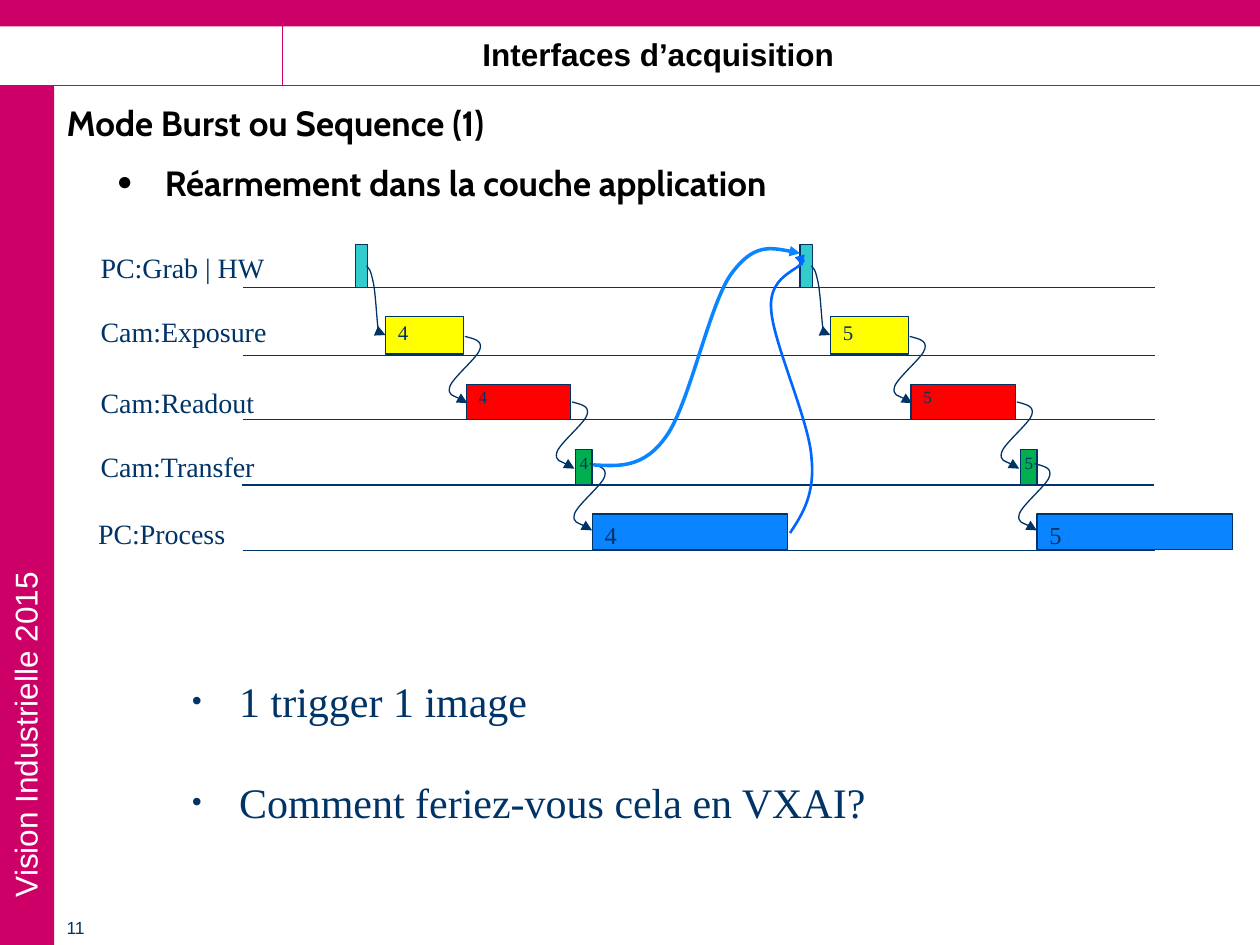
from lxml import etree
from pptx import Presentation
from pptx.dml.color import RGBColor
from pptx.enum.shapes import MSO_CONNECTOR, MSO_SHAPE
from pptx.enum.text import MSO_ANCHOR, PP_ALIGN
from pptx.oxml.ns import qn
from pptx.util import Inches, Pt

RECTANGLE = MSO_SHAPE.RECTANGLE
STRAIGHT = MSO_CONNECTOR.STRAIGHT
TOP, MIDDLE = MSO_ANCHOR.TOP, MSO_ANCHOR.MIDDLE
LEFT, CENTER = PP_ALIGN.LEFT, PP_ALIGN.CENTER

MAGENTA = RGBColor(0xCC, 0x00, 0x66)
NAVY = RGBColor(0x00, 0x33, 0x66)
BLACK = RGBColor(0x00, 0x00, 0x00)
WHITE = RGBColor(0xFF, 0xFF, 0xFF)
TURQUOISE = RGBColor(0x33, 0xCC, 0xCC)
YELLOW = RGBColor(0xFF, 0xFF, 0x00)
RED = RGBColor(0xFF, 0x00, 0x00)
GREEN = RGBColor(0x00, 0xB0, 0x50)
BLUE = RGBColor(0x0A, 0x85, 0xFF)
ROYAL_BLUE = RGBColor(0x00, 0x66, 0xFF)
SERIF, SANS, HEADING = "Times New Roman", "Arial", "Cabin"

# Label, label left, label top, label width, line left, line y
ROWS = [
    ("PC:Grab | HW", 0.7, 1.94, 1.5, 1.93, 2.28),
    ("Cam:Exposure", 0.7, 2.45, 1.52, 1.93, 2.82),
    ("Cam:Readout", 0.7, 3.01, 1.42, 1.93, 3.33),
    ("Cam:Transfer", 0.7, 3.52, 1.43, 1.92, 3.85),
    ("PC:Process", 0.68, 4.05, 1.21, 1.93, 4.37),
]
ROW_LENGTH = 7.24

# Left, top, width, height, fill, text size, line spacing
STAGES = [
    (2.82, 1.94, 0.1, 0.34, TURQUOISE, None, None),
    (3.06, 2.51, 0.62, 0.3, YELLOW, 11.9, 0.9),
    (3.7, 3.05, 0.83, 0.28, RED, 9.8, 0.8),
    (4.57, 3.57, 0.13, 0.28, GREEN, 9.8, 0.8),
    (4.7, 4.08, 1.55, 0.28, BLUE, 14, None),
]
# Image number and horizontal shift of each acquisition cycle
CYCLES = [("4", 0), ("5", 3.53)]

# Bezier curves: a start point, then two controls and an end for every segment
GRAB_CURVE = [(2.91, 2.11), (2.93, 2.13), (2.94, 2.14), (2.96, 2.23),
              (2.98, 2.31), (2.99, 2.53), (3, 2.6),
              (3.02, 2.68), (3.05, 2.66), (3.06, 2.67),
              (3.07, 2.68), (3.07, 2.67), (3.06, 2.66)]
STEP_CURVE = [(0, 0), (0.07, 0.02), (0.14, 0.03), (0.12, 0.1),
              (0.11, 0.16), (-0.1, 0.33), (-0.12, 0.4),
              (-0.14, 0.47), (-0.01, 0.5), (0.02, 0.53)]
STEP_STARTS = [(3.69, 2.67), (4.54, 3.19), (4.68, 3.68)]
PROCESS_TO_GRAB = [(6.27, 4.23), (6.37, 4.08), (6.47, 3.92), (6.44, 3.63),
                   (6.42, 3.33), (6.13, 2.71), (6.12, 2.45),
                   (6.1, 2.2), (6.32, 2.15), (6.36, 2.09),
                   (6.4, 2.04), (6.39, 2.07), (6.37, 2.11)]
TRANSFER_TO_GRAB = [(4.71, 3.69), (4.91, 3.7), (5.11, 3.72), (5.29, 3.46),
                    (5.47, 3.21), (5.63, 2.42), (5.8, 2.18),
                    (5.98, 1.93), (6.16, 1.97), (6.35, 2.01)]
QUESTIONS = ["1 trigger 1 image", "Comment feriez-vous cela en VXAI?"]


def add_bullet(paragraph, character, color):
    properties = paragraph._p.get_or_add_pPr()
    properties.set("marL", str(Inches(0.38)))
    properties.set("indent", str(-Inches(0.38)))
    bullet_color = etree.SubElement(properties, qn("a:buClr"))
    etree.SubElement(bullet_color, qn("a:srgbClr"), val=str(color))
    etree.SubElement(properties, qn("a:buSzPct"), val="75000")
    etree.SubElement(properties, qn("a:buFont"), typeface=SERIF)
    etree.SubElement(properties, qn("a:buChar"), char=character)


def write_text(shape, *texts, size, font=SERIF, color=NAVY, bold=False, align=LEFT,
               anchor=TOP, wrap=True, spacing=None, gap=0, bullet=None):
    """Fill a shape with one paragraph per text; gap is the space between them."""
    frame = shape.text_frame
    frame.word_wrap = wrap
    frame.vertical_anchor = anchor
    for index, text in enumerate(texts):
        paragraph = frame.add_paragraph() if index else frame.paragraphs[0]
        paragraph.alignment = align
        if spacing:
            paragraph.line_spacing = spacing
        if index:
            paragraph.space_before = Pt(gap)
        if bullet:
            add_bullet(paragraph, bullet, color)
        run = paragraph.add_run()
        run.text = text
        run.font.size = Pt(size)
        run.font.name = font
        run.font.bold = bold
        run.font.color.rgb = color


def add_text(slide, box, *texts, **text_format):
    shape = slide.shapes.add_textbox(*map(Inches, box))
    write_text(shape, *texts, **text_format)
    return shape


def add_box(slide, box, fill, outline=None):
    shape = slide.shapes.add_shape(RECTANGLE, *map(Inches, box))
    shape.shadow.inherit = False
    shape.fill.solid()
    shape.fill.fore_color.rgb = fill
    if outline is None:
        shape.line.fill.background()
    else:
        shape.line.color.rgb = outline
        shape.line.width = Pt(0.75)
    return shape


def add_line(slide, x1, y1, x2, y2, color):
    connector = slide.shapes.add_connector(STRAIGHT, *map(Inches, (x1, y1, x2, y2)))
    connector.line.color.rgb = color
    connector.line.width = Pt(0.75)
    etree.SubElement(connector._element.spPr, qn("a:effectLst"))


def add_curved_arrow(slide, curve, color=NAVY, width=0.75, dx=0, dy=0):
    """Join the segment ends by a freeform, then bend each segment with its controls."""
    points = [(Inches(x + dx), Inches(y + dy)) for x, y in curve]
    builder = slide.shapes.build_freeform(*points[0])
    builder.add_line_segments(points[3::3], close=False)
    shape = builder.convert_to_shape()
    for index, segment in enumerate(list(shape._element.iter(qn("a:lnTo")))):
        bend = etree.Element(qn("a:cubicBezTo"))
        for x, y in points[3 * index + 1:3 * index + 4]:
            etree.SubElement(bend, qn("a:pt"), x=str(x - shape.left), y=str(y - shape.top))
        segment.getparent().replace(segment, bend)
    shape.shadow.inherit = False
    shape.fill.background()
    shape.line.color.rgb = color
    shape.line.width = Pt(width)
    etree.SubElement(shape.line._get_or_add_ln(), qn("a:tailEnd"), type="triangle")


def add_page_frame(slide):
    add_box(slide, (0, 0.68, 0.43, 6.82), MAGENTA)
    add_box(slide, (0, 0, 10, 0.21), MAGENTA)
    add_line(slide, 0, 0.68, 10, 0.68, MAGENTA)
    add_line(slide, 2.24, 0.68, 2.24, 0, MAGENTA)
    side_title = add_text(slide, (-1.85, 4.97, 4.1, 0.4), "Vision Industrielle 2015",
                          size=18, font=SANS, color=WHITE)
    side_title.rotation = 270
    add_text(slide, (0.43, 7.23, 0.47, 0.27), "11", size=10, font=SANS)
    add_text(slide, (2.31, 0.23, 5.83, 0.4), "Interfaces d’acquisition",
             size=18, font=SANS, color=BLACK, bold=True, align=CENTER)


def add_timing_diagram(slide):
    for label, left, top, width, line_left, line_y in ROWS:
        add_line(slide, line_left, line_y, line_left + ROW_LENGTH, line_y, NAVY)
        add_text(slide, (left, top, width, 0.37), label, size=16, wrap=False)
    for number, shift in CYCLES:
        for left, top, width, height, fill, size, spacing in STAGES:
            stage = add_box(slide, (left + shift, top, width, height), fill, NAVY)
            if size:
                write_text(stage, number, size=size, spacing=spacing)
        add_curved_arrow(slide, GRAB_CURVE, dx=shift)
        for x, y in STEP_STARTS:
            add_curved_arrow(slide, STEP_CURVE, dx=x + shift, dy=y)
    add_curved_arrow(slide, PROCESS_TO_GRAB, ROYAL_BLUE, 1.5)
    add_curved_arrow(slide, TRANSFER_TO_GRAB, BLUE, 2)


def main():
    presentation = Presentation()
    presentation.slide_width, presentation.slide_height = Inches(10), Inches(7.5)
    slide = presentation.slides.add_slide(presentation.slide_layouts[6])
    add_page_frame(slide)
    heading = {"size": 20, "font": HEADING, "color": BLACK, "bold": True}
    add_text(slide, (0.43, 0.76, 9.45, 0.47), "Mode Burst ou Sequence (1)",
             anchor=MIDDLE, spacing=0.9, **heading)
    add_text(slide, (0.83, 1.23, 9.06, 5.91), "Réarmement dans la couche application",
             bullet="●", **heading)
    add_timing_diagram(slide)
    add_text(slide, (1.42, 5.31, 5.73, 1.3), *QUESTIONS, size=24, gap=29, bullet="•")
    presentation.save("out.pptx")


if __name__ == "__main__":
    main()
